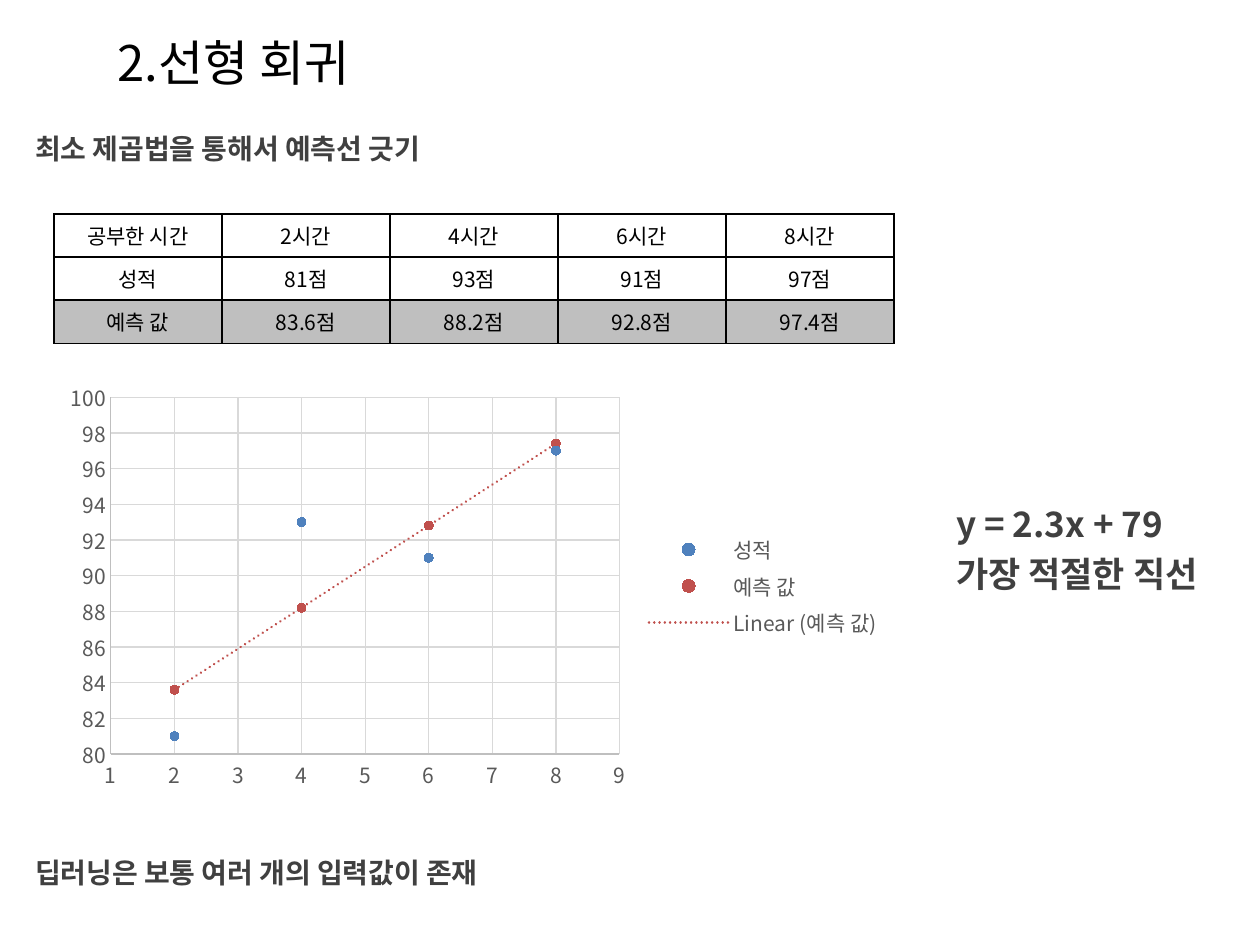
from lxml.etree import SubElement
from pptx import Presentation
from pptx.chart.data import XyChartData
from pptx.dml.color import RGBColor
from pptx.enum.chart import XL_CHART_TYPE, XL_LEGEND_POSITION, XL_MARKER_STYLE, XL_TICK_MARK
from pptx.enum.text import MSO_ANCHOR, MSO_AUTO_SIZE, PP_ALIGN
from pptx.oxml import parse_xml
from pptx.oxml.ns import nsdecls, qn
from pptx.util import Emu, Pt

PX_PER_INCH = 126


def px(count):
    return Emu(round(count * 914400 / PX_PER_INCH))


def color(hex_text):
    return RGBColor.from_string(hex_text)


class SlideBuilder:
    font_name = "Noto Sans CJK KR"
    black, dark, gray = "000000", "404040", "595959"
    axis_line, grid_line = "BFBFBF", "D9D9D9"

    def __init__(self, page):
        self.page = page

    def style(self, font, size, hex_text, bold=False):
        font.name = self.font_name
        font.size = Pt(size)
        font.bold = bold
        font.color.rgb = color(hex_text)
        # Korean glyphs use the East Asian font slot
        east_asian = SubElement(font._element, qn("a:ea"))
        east_asian.set("typeface", self.font_name)

    def title(self, text, left, top, width, height):
        box = self.page.shapes.add_textbox(px(left), px(top), px(width), px(height))
        box.text_frame.word_wrap = True
        para = box.text_frame.paragraphs[0]
        para.text = text
        self.style(para.font, 28, self.black)

    def note(self, lines, left, top, width, height, size=16):
        box = self.page.shapes.add_textbox(px(left), px(top), px(width), px(height))
        frame = box.text_frame
        frame.word_wrap = True
        frame.auto_size = MSO_AUTO_SIZE.SHAPE_TO_FIT_TEXT
        frame.margin_left = frame.margin_right = 0
        frame.margin_top = frame.margin_bottom = 0
        frame.text = "\n".join(lines)
        for para in frame.paragraphs:
            para.line_spacing = 1.2
            self.style(para.font, size, self.dark, bold=True)

    def table(self, rows, fills, left, top, column_width, row_height):
        columns = len(rows[0])
        table = self.page.shapes.add_table(
            len(rows), columns, px(left), px(top),
            px(column_width * columns), px(row_height * len(rows))).table
        table.first_row = table.horz_banding = False
        for column in table.columns:
            column.width = px(column_width)
        for row, texts, fill in zip(table.rows, rows, fills):
            row.height = px(row_height)
            for cell, text in zip(row.cells, texts):
                self.cell(cell, text, fill)

    def cell(self, cell, text, fill):
        cell.text = text
        cell.vertical_anchor = MSO_ANCHOR.MIDDLE
        para = cell.text_frame.paragraphs[0]
        para.alignment = PP_ALIGN.CENTER
        self.style(para.font, 12, self.black)
        properties = cell._tc.get_or_add_tcPr()
        for side in ("lnL", "lnR", "lnT", "lnB"):
            properties.append(parse_xml(
                f'<a:{side} {nsdecls("a")} w="{Pt(1)}"><a:solidFill>'
                f'<a:srgbClr val="{self.black}"/></a:solidFill></a:{side}>'))
        if fill:
            cell.fill.solid()
            cell.fill.fore_color.rgb = color(fill)
        else:
            cell.fill.background()

    def scatter(self, hours, scores, colors, left, top, width, height):
        data = XyChartData()
        for name, values in scores.items():
            points = data.add_series(name)
            for hour, value in zip(hours, values):
                points.add_data_point(hour, value)
        chart = self.page.shapes.add_chart(
            XL_CHART_TYPE.XY_SCATTER, px(left), px(top), px(width), px(height), data).chart
        self.style(chart.font, 10, self.black)
        chart.has_title = False
        plot = chart.plots[0]
        plot.vary_by_categories = False
        for series, hex_text in zip(plot.series, colors):
            series.format.line.fill.background()
            marker = series.marker
            marker.style = XL_MARKER_STYLE.CIRCLE
            marker.size = 5
            marker.format.fill.solid()
            marker.format.fill.fore_color.rgb = color(hex_text)
            marker.format.line.color.rgb = color(hex_text)
        for axis in (chart.category_axis, chart.value_axis):
            self.axis(axis)
        chart.value_axis.minimum_scale = 80
        chart.has_legend = True
        chart.legend.position = XL_LEGEND_POSITION.RIGHT
        chart.legend.include_in_layout = False
        self.style(chart.legend.font, 12, self.gray)
        return chart

    def axis(self, axis):
        axis.has_major_gridlines = True
        axis.major_tick_mark = axis.minor_tick_mark = XL_TICK_MARK.NONE
        self.style(axis.tick_labels.font, 12, self.gray)
        for part, hex_text in ((axis, self.axis_line), (axis.major_gridlines, self.grid_line)):
            part.format.line.color.rgb = color(hex_text)
            part.format.line.width = Pt(0.75)

    def trend_line(self, chart, series_index, hex_text):
        series = chart.plots[0].series[series_index]
        series._element.find(qn("c:xVal")).addprevious(parse_xml(
            f'<c:trendline {nsdecls("c", "a")}><c:spPr><a:ln w="{Pt(1.5)}" cap="rnd">'
            f'<a:solidFill><a:srgbClr val="{hex_text}"/></a:solidFill>'
            '<a:prstDash val="sysDot"/></a:ln></c:spPr>'
            '<c:trendlineType val="linear"/><c:dispRSqr val="0"/><c:dispEq val="0"/>'
            '</c:trendline>'))
        # The trend line's legend entry follows those of the series
        entry = len(chart.plots[0].series)
        chart.legend._element.find(qn("c:legendPos")).addnext(parse_xml(
            f'<c:legendEntry {nsdecls("c")}><c:idx val="{entry}"/>'
            '<c:delete val="1"/></c:legendEntry>'))


def main():
    deck = Presentation()
    deck.slide_width, deck.slide_height = px(1260), px(945)
    builder = SlideBuilder(deck.slides.add_slide(deck.slide_layouts[6]))

    hours = [2, 4, 6, 8]
    scores = {"성적": [81, 93, 91, 97], "예측 값": [83.6, 88.2, 92.8, 97.4]}
    blue, red = "4F81BD", "C0504D"

    # Study hours with actual and predicted scores
    rows = [["공부한 시간"] + [f"{hour}시간" for hour in hours]]
    rows += [[name] + [f"{value}점" for value in values] for name, values in scores.items()]
    builder.table(rows, [None, "FFFFFF", "BFBFBF"], 54, 214, 168, 43)

    # Scatter chart with the fitted line
    chart = builder.scatter(hours, scores, [blue, red], 54, 373, 840, 426)
    builder.trend_line(chart, 1, red)

    # Title and notes
    builder.title("2.선형 회귀", 105, 26, 942, 72)
    builder.note(["최소 제곱법을 통해서 예측선 긋기"], 35, 125, 1191, 38)
    builder.note(["딥러닝은 보통 여러 개의 입력값이 존재"], 35, 849, 1191, 38)
    builder.note(["y = 2.3x + 79", "가장 적절한 직선"], 956, 494, 268, 102, size=20)

    deck.save("out.pptx")


if __name__ == "__main__":
    main()
